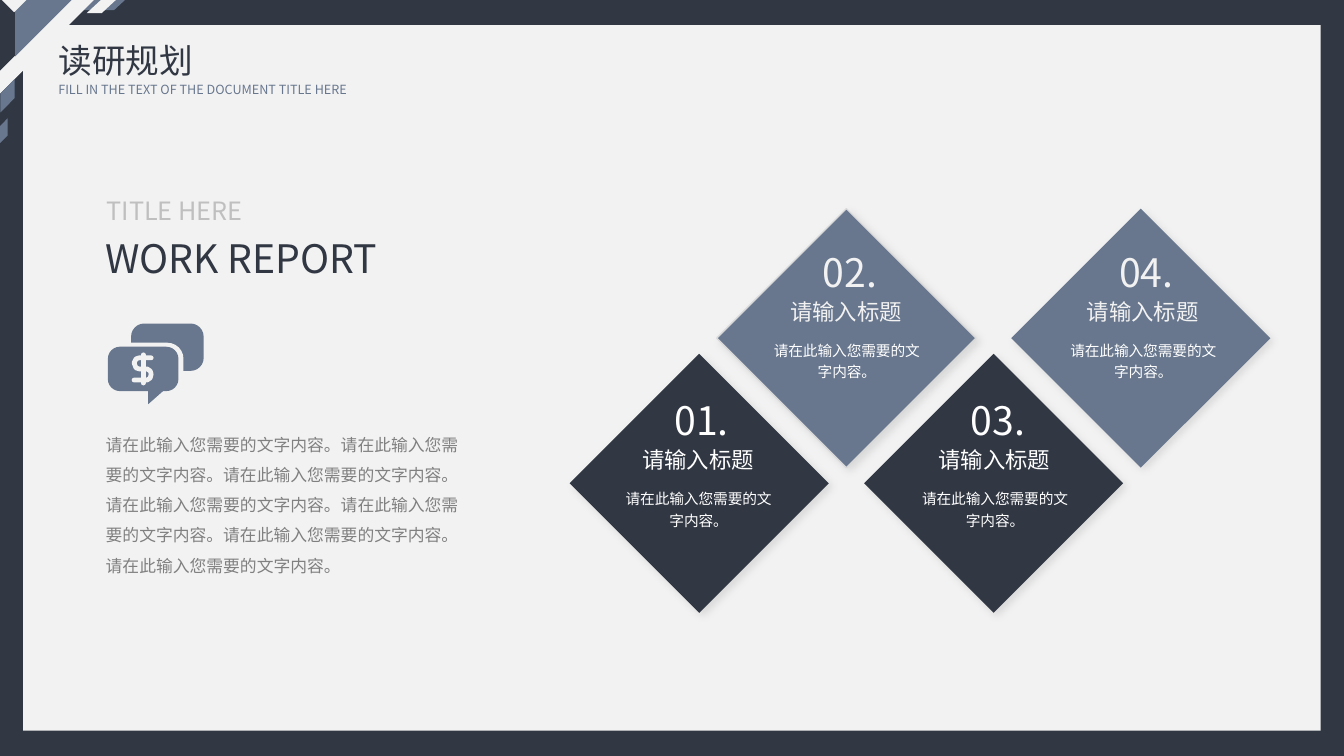
from lxml.etree import SubElement
from pptx import Presentation
from pptx.dml.color import RGBColor
from pptx.enum.shapes import MSO_SHAPE
from pptx.enum.text import MSO_ANCHOR, MSO_AUTO_SIZE, PP_ALIGN
from pptx.oxml import parse_xml
from pptx.oxml.ns import nsdecls, qn
from pptx.util import Inches, Pt

# Content
FONT = "Noto Sans CJK SC"
NAVY, SLATE, PALE, WHITE = "313743", "68778E", "F2F2F2", "FFFFFF"
PAGE_TITLE = "读研规划"
PAGE_SUBTITLE = "FILL IN THE TEXT OF THE DOCUMENT TITLE HERE"
KICKER, HEADING = "TITLE HERE", "WORK REPORT"
SENTENCE = "请在此输入您需要的文字内容。"
STEP_TITLE = "请输入标题"
STEPS = ["01.", "02.", "03.", "04."]

# Corner ornament: preset, box, rotation, fill, slant, flipped
TRIANGLE, SLANT = MSO_SHAPE.RIGHT_TRIANGLE, MSO_SHAPE.PARALLELOGRAM
CORNER = [
    (SLANT, (0.59, -0.01, 0.66, 0.11), 180, SLATE, 1.08, False),
    (TRIANGLE, (0, -0.01, 0.94, 0.94), 90, PALE, None, False),
    (TRIANGLE, (0, -0.01, 0.71, 0.71), 90, NAVY, None, False),
    (TRIANGLE, (0.15, -0.01, 0.57, 0.57), 90, SLATE, None, False),
    (TRIANGLE, (0.04, -0.12, 0.2, 0.2), 315, PALE, None, False),
    (SLANT, (0.86, -0.01, 0.3, 0.14), 180, PALE, 1.08, False),
    (SLANT, (-0.09, 0.88, 0.33, 0.14), 90, SLATE, 1.01, True),
    (SLANT, (-0.09, 1.26, 0.25, 0.08), 90, SLATE, 1.01, True),
]

# Speech bubbles: box, fill, corner radius (back bubble, gap, front bubble)
BUBBLES = [
    ((1.3, 3.21, 0.72, 0.47), SLATE, 0.13),
    ((1.03, 3.4, 0.79, 0.52), PALE, 0.16),
    ((1.07, 3.44, 0.7, 0.44), SLATE, 0.12),
]
BUBBLE_TAIL = [(1.47, 3.86), (1.64, 3.86), (1.47, 4.01)]
DOLLAR_CURVE = [(1.5, 3.55), (1.38, 3.55), (1.35, 3.56), (1.33, 3.6), (1.35, 3.65),
                (1.38, 3.66), (1.46, 3.66), (1.49, 3.68), (1.5, 3.71), (1.49, 3.75),
                (1.46, 3.77), (1.33, 3.77)]
DOLLAR_BAR = [(1.42, 3.52), (1.42, 3.8)]

# Diamond layout: odd steps sit low, even steps high
DIAMOND_SIZE, DIAMOND_LEFT, DIAMOND_PITCH = 2.57, 5.65, 1.46
LABEL_LEFT, LABEL_PITCH = 6.08, 1.47
LOW = (3.51, 3.88, NAVY, WHITE)
HIGH = (2.07, 2.41, SLATE, PALE)


def color(value):
    return RGBColor.from_string(value)


def add_filled(preset, box, fill):
    shape = slide.shapes.add_shape(preset, *map(Inches, box))
    shape.shadow.inherit = False
    shape.fill.solid()
    shape.fill.fore_color.rgb = color(fill)
    shape.line.fill.background()
    return shape


def add_outline(points, closed):
    builder = slide.shapes.build_freeform(*map(Inches, points[0]))
    builder.add_line_segments([tuple(map(Inches, p)) for p in points[1:]], close=closed)
    shape = builder.convert_to_shape()
    shape.shadow.inherit = False
    return shape


def set_text(shape, text, size, text_color, wrap=False, align=PP_ALIGN.LEFT, spacing=None):
    frame = shape.text_frame
    frame.text = text
    frame.word_wrap = wrap
    frame.auto_size = MSO_AUTO_SIZE.SHAPE_TO_FIT_TEXT
    frame.vertical_anchor = MSO_ANCHOR.TOP
    paragraph = frame.paragraphs[0]
    paragraph.alignment = align
    if spacing:
        paragraph.line_spacing = spacing
    font = paragraph.runs[0].font
    font.name, font.size = FONT, Pt(size)
    font.color.rgb = color(text_color)
    SubElement(paragraph.runs[0]._r.rPr, qn("a:ea")).set("typeface", FONT)


def add_text(box, *args, **options):
    set_text(slide.shapes.add_textbox(*map(Inches, box)), *args, **options)


def add_soft_shadow(shape):
    properties = shape._element.spPr
    properties.remove(properties.find(qn("a:effectLst")))
    properties.append(parse_xml(
        f'<a:effectLst {nsdecls("a")}><a:outerShdw blurRad="{Pt(6)}" dist="{Pt(3)}" '
        'dir="2700000" algn="tl" rotWithShape="0"><a:srgbClr val="000000">'
        '<a:alpha val="10000"/></a:srgbClr></a:outerShdw></a:effectLst>'))


presentation = Presentation()
presentation.slide_width, presentation.slide_height = Inches(13.33), Inches(7.5)
slide = presentation.slides.add_slide(presentation.slide_layouts[5])
slide.background.fill.solid()
slide.background.fill.fore_color.rgb = color(NAVY)

# Page frame and corner
add_filled(MSO_SHAPE.RECTANGLE, (0.23, 0.25, 12.87, 7), PALE)
for preset, box, rotation, fill, slant, flipped in CORNER:
    ornament = add_filled(preset, box, fill)
    ornament.rotation = rotation
    if slant:
        ornament.adjustments[0] = slant
    if flipped:
        ornament._element.spPr.xfrm.set("flipH", "1")

# Page title, brought in front of the frame
title = slide.shapes.title
title.left, title.top, title.width, title.height = map(Inches, (0.48, 0.35, 2.54, 0.5))
set_text(title, PAGE_TITLE, 24, NAVY, wrap=True, align=PP_ALIGN.JUSTIFY)
slide.shapes._spTree.append(title._element)
add_text((0.48, 0.76, 3.08, 0.25), PAGE_SUBTITLE, 9, SLATE)

# Left column
add_text((0.95, 2.28, 2.92, 0.57), HEADING, 28, NAVY)
add_text((0.96, 1.89, 1.56, 0.4), KICKER, 18, "BFBFBF")
add_text((0.95, 4.16, 3.75, 1.61), SENTENCE * 7, 12, "808080", wrap=True, spacing=1.5)

# Speech bubble icon
for box, fill, radius in BUBBLES:
    bubble = add_filled(MSO_SHAPE.ROUNDED_RECTANGLE, box, fill)
    bubble.adjustments[0] = radius / box[3]
tail = add_outline(BUBBLE_TAIL, closed=True)
tail.fill.solid()
tail.fill.fore_color.rgb = color(SLATE)
tail.line.fill.background()
for points in (DOLLAR_CURVE, DOLLAR_BAR):
    stroke = add_outline(points, closed=False)
    stroke.fill.background()
    stroke.line.color.rgb = color(PALE)
    stroke.line.width = Pt(3.4)
    stroke.line._get_or_add_ln().set("cap", "rnd")

# Diamonds
for index in range(len(STEPS)):
    top, _, fill, _ = HIGH if index % 2 else LOW
    left = DIAMOND_LEFT + index * DIAMOND_PITCH
    diamond = add_filled(MSO_SHAPE.DIAMOND, (left, top, DIAMOND_SIZE, DIAMOND_SIZE), fill)
    add_soft_shadow(diamond)
    if index == 1:
        diamond.line.color.rgb = color("D9D9D9")
        diamond.line.width = Pt(1)

# Diamond labels
for index, number in enumerate(STEPS):
    _, top, _, text_color = HIGH if index % 2 else LOW
    left = LABEL_LEFT + index * LABEL_PITCH
    add_text((left + 0.51, top, 0.75, 0.57), number, 28, text_color)
    add_text((left + 0.19, top + 0.5, 1.32, 0.37), STEP_TITLE, 16, text_color)
    add_text((left, top + 0.9, 1.7, 0.52), SENTENCE, 10.5, WHITE,
             wrap=True, align=PP_ALIGN.CENTER, spacing=1.2)

presentation.save("out.pptx")
